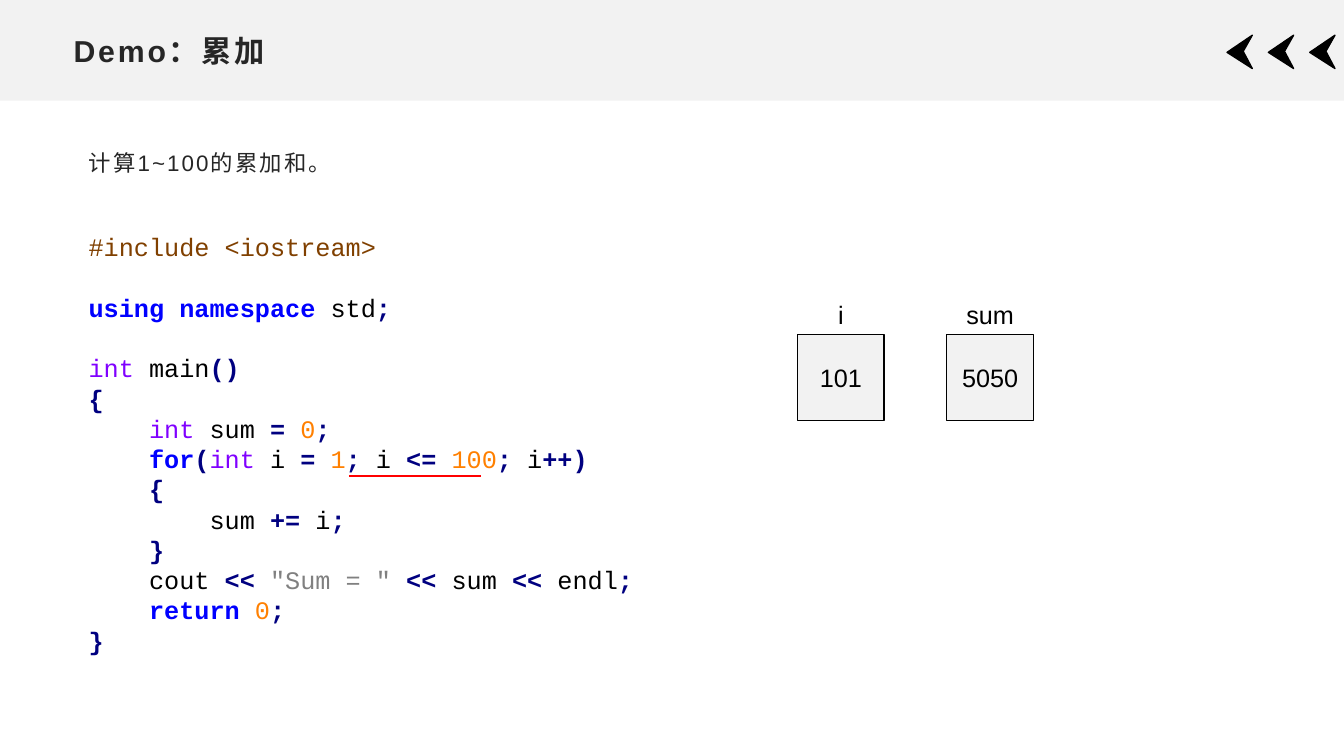
from dataclasses import dataclass

from lxml import etree
from pptx import Presentation
from pptx import util as u
from pptx.dml.color import RGBColor
from pptx.enum import shapes, text
from pptx.oxml.ns import qn


@dataclass(frozen=True)
class Theme:
    font: str = "Arial"
    code_font: str = "Courier New"
    title_size: float = 21.6
    body_size: float = 16
    main_size: float = 18
    code_pitch: float = 21.6
    panel: str = "F2F2F2"
    heading: str = "262626"
    ink: str = "000000"
    keyword: str = "0000FF"
    type_name: str = "8000FF"
    operator: str = "000080"
    number: str = "FF8000"
    string: str = "808080"
    directive: str = "804000"
    marker: str = "FF0000"


# Tokens are separated by "|"; an empty line in the program is "".
PROGRAM = [
    "#include <iostream>",
    "",
    "using| |namespace| std|;",
    "",
    "int| main|()",
    "{",
    "    |int| sum |=| |0|;",
    "    |for|(|int| i |=| |1|;| i |<=| |100|;| i|++)",
    "    |{",
    "        sum |+=| i|;",
    "    |}",
    '    cout |<<| |"Sum = "| |<<| sum |<<| endl|;',
    "    |return| |0|;",
    "}",
]
KEYWORDS = {"using", "namespace", "for", "return"}


class SlideBuilder:
    def __init__(self, prs, theme):
        self.theme = theme
        self.s = prs.slides.add_slide(prs.slide_layouts[1])

    def add_run(self, p, words, size, color, font=None, bold=False, spacing=0):
        r = p.add_run()
        r.text = words
        r.font.name = font or self.theme.font
        r.font.size = u.Pt(size)
        r.font.bold = bold
        r.font.color.rgb = RGBColor.from_string(color)
        if spacing:
            r._r.get_or_add_rPr().set("spc", str(round(spacing * 100)))

    def paint(self, sp, fill, line=None):
        sp.shadow.inherit = False
        sp.fill.solid()
        sp.fill.fore_color.rgb = RGBColor.from_string(fill)
        if line:
            sp.line.color.rgb = RGBColor.from_string(line)
            sp.line.width = u.Pt(1)
        else:
            sp.line.fill.background()

    def band(self, width, height):
        """Draw the header band behind the placeholders."""
        sp = self.s.shapes.add_shape(shapes.MSO_SHAPE.RECTANGLE, 0, 0, width, u.Inches(height))
        self.paint(sp, self.theme.panel)
        self.s.shapes._spTree.insert(2, sp._element)

    def arrowhead(self, left, top=0.35):
        outline = [(0.25, 0.33), (0, 0.17), (0.25, 0), (0.16, 0.16)]
        points = [(u.Inches(left + x), u.Inches(top + y)) for x, y in outline]
        builder = self.s.shapes.build_freeform(*points[0])
        builder.add_line_segments(points[1:], close=True)
        self.paint(builder.convert_to_shape(), self.theme.ink, self.theme.ink)

    def place(self, sp, left, top, width, height, anchor):
        sp.left, sp.top = u.Inches(left), u.Inches(top)
        sp.width, sp.height = u.Inches(width), u.Inches(height)
        tf = sp.text_frame
        tf.word_wrap = True
        tf.auto_size = text.MSO_AUTO_SIZE.NONE
        tf.vertical_anchor = anchor
        return tf.paragraphs[0]

    def title(self, words, *box):
        p = self.place(self.s.shapes.title, *box, text.MSO_ANCHOR.MIDDLE)
        p.alignment = text.PP_ALIGN.LEFT
        self.add_run(p, words, self.theme.title_size, self.theme.heading, bold=True, spacing=2)

    def body(self, words, *box):
        p = self.place(self.s.placeholders[1], *box, text.MSO_ANCHOR.TOP)
        pPr = p._p.get_or_add_pPr()
        pPr.set("marL", "0")
        pPr.set("indent", "0")
        etree.SubElement(pPr, qn("a:buNone"))
        p.line_spacing = 1.3
        p.space_before, p.space_after = u.Pt(0), u.Pt(10)
        self.add_run(p, words, self.theme.body_size, self.theme.heading, spacing=1.5)

    def token_style(self, token):
        """Return the colour and weight for one token of the program."""
        t, word = self.theme, token.strip()
        if word.startswith("#"):
            return t.directive, False
        if word.startswith('"'):
            return t.string, False
        if word in KEYWORDS:
            return t.keyword, True
        if word == "int":
            return t.type_name, False
        if word.isdigit():
            return t.number, False
        if word and not word.isalpha():
            return t.operator, True
        return t.ink, False

    def code(self, lines, *box):
        sp = self.s.shapes.add_textbox(0, 0, 0, 0)
        p = self.place(sp, *box, text.MSO_ANCHOR.TOP)
        pitch = u.Pt(self.theme.code_pitch)
        for i, line in enumerate(lines):
            if not line:
                continue
            if i:
                p = sp.text_frame.add_paragraph()
                p.space_before = 0 if lines[i - 1] else pitch
            p.line_spacing = pitch
            for token in line.split("|"):
                color, bold = self.token_style(token)
                self.add_run(p, token, self.theme.main_size, color, self.theme.code_font, bold)

    def variable(self, name, value, left, top=3.32, width=0.86, height=0.85):
        """Draw a memory cell with its name above and its value inside."""
        cell = self.s.shapes.add_shape(shapes.MSO_SHAPE.RECTANGLE, 0, 0, 0, 0)
        self.paint(cell, self.theme.panel, self.theme.ink)
        label = self.s.shapes.add_textbox(0, 0, 0, 0)
        for sp, words, y, h in ((cell, value, top, height), (label, name, top - 0.4, 0.4)):
            p = self.place(sp, left, y, width, h, text.MSO_ANCHOR.MIDDLE)
            p.alignment = text.PP_ALIGN.CENTER
            self.add_run(p, words, self.theme.main_size, self.theme.ink)

    def underline(self, left, right, y):
        line = self.s.shapes.add_connector(
            shapes.MSO_CONNECTOR.STRAIGHT, u.Inches(left), u.Inches(y), u.Inches(right), u.Inches(y))
        line.line.color.rgb = RGBColor.from_string(self.theme.marker)
        line.line.width = u.Pt(1.5)
        etree.SubElement(line._element.spPr, qn("a:effectLst"))


def main():
    prs = Presentation()
    prs.slide_width, prs.slide_height = u.Inches(13.33), u.Inches(7.5)
    slide = SlideBuilder(prs, Theme())
    slide.band(prs.slide_width, 1)
    for i in range(3):
        slide.arrowhead(12.17 + 0.41 * i)
    slide.title("Demo：累加", 0.63, 0.26, 12.07, 0.48)
    slide.code(PROGRAM, 0.78, 2.25, 5.88, 4.37)
    slide.body("计算1~100的累加和。", 0.78, 1.35, 2.61, 0.55)
    slide.variable("sum", "5050", 9.39)
    slide.variable("i", "101", 7.91)
    slide.underline(3.46, 4.77, 4.72)
    prs.save("out.pptx")


if __name__ == "__main__":
    main()
